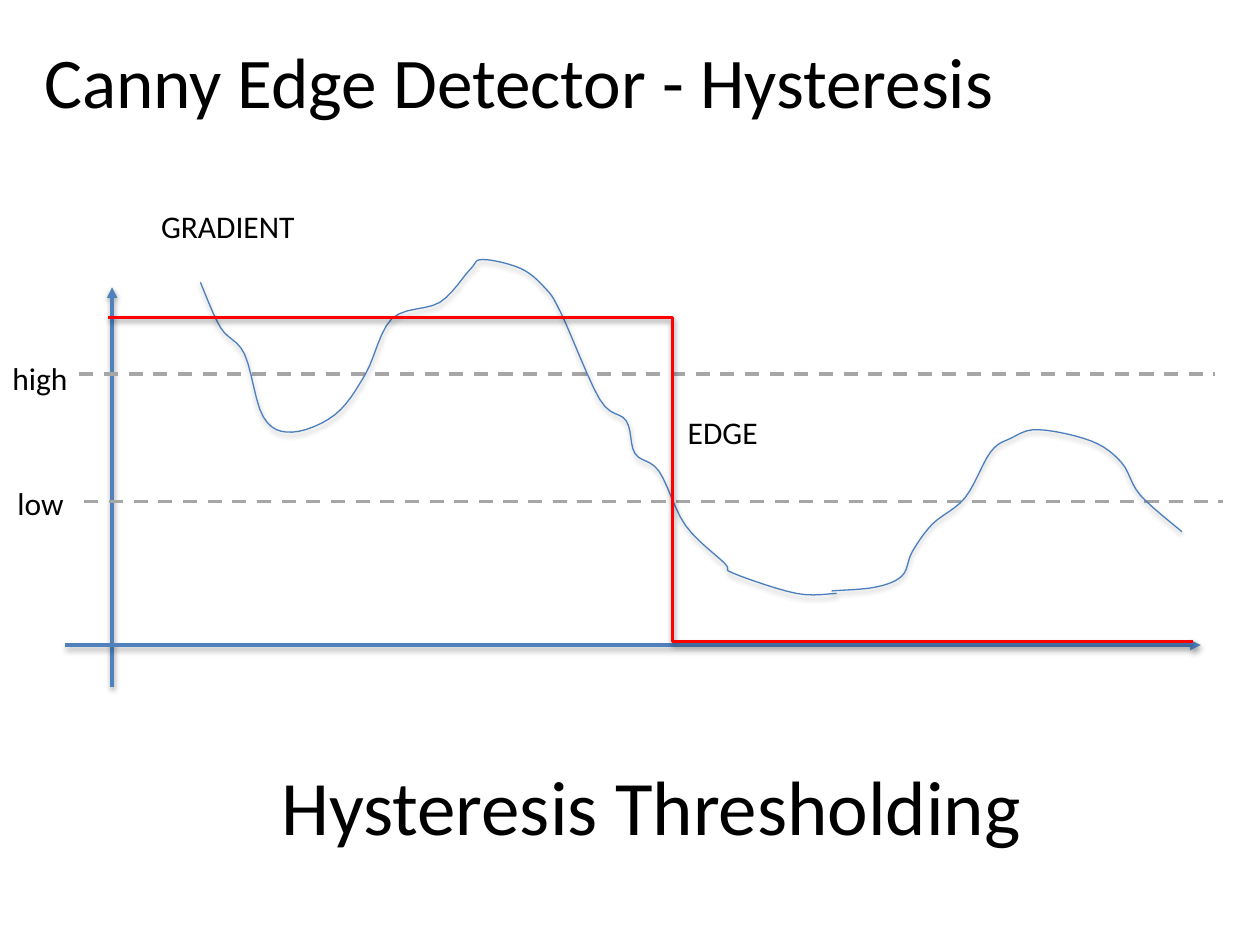
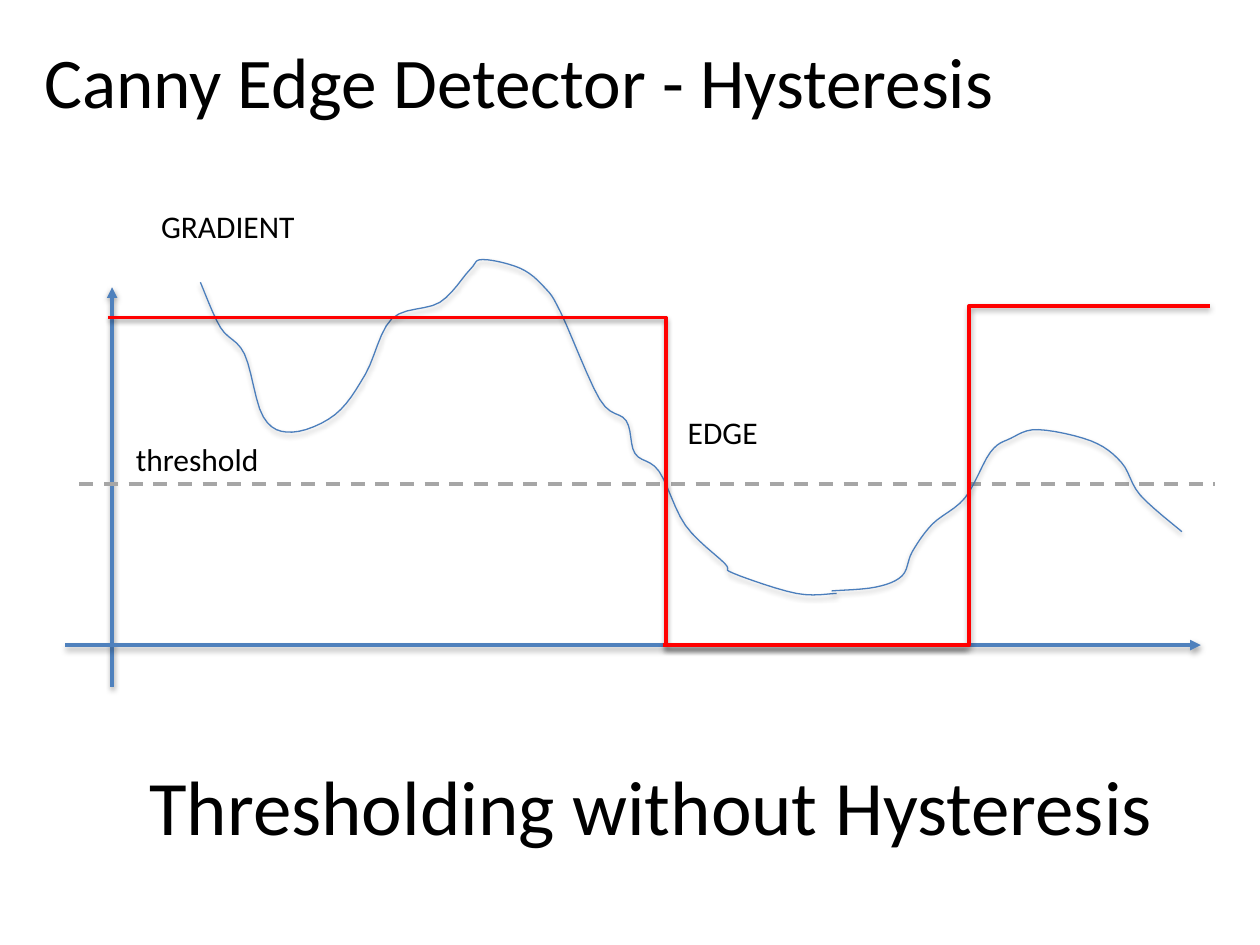
from lxml import etree
from pptx import Presentation
from pptx.dml.color import RGBColor
from pptx.enum.dml import MSO_LINE
from pptx.enum.shapes import MSO_CONNECTOR
from pptx.enum.text import MSO_ANCHOR, MSO_AUTO_SIZE, PP_ALIGN
from pptx.oxml.ns import qn
from pptx.util import Inches, Pt

STRAIGHT, ELBOW = MSO_CONNECTOR.STRAIGHT, MSO_CONNECTOR.ELBOW
DASH = MSO_LINE.DASH
LEFT, CENTER = PP_ALIGN.LEFT, PP_ALIGN.CENTER
MIDDLE, TOP = MSO_ANCHOR.MIDDLE, MSO_ANCHOR.TOP
FIT, NO_FIT = MSO_AUTO_SIZE.SHAPE_TO_FIT_TEXT, MSO_AUTO_SIZE.NONE

BLACK, AXIS, CURVE, GREY, RED = "000000", "4F81BD", "4B7EBC", "A6A6A6", "FF0000"

prs = Presentation()
prs.slide_width, prs.slide_height = Inches(10), Inches(7.5)
COL, ROW = prs.slide_width / 10, prs.slide_height / 7.5

TITLE = {"word_wrap": True, "auto_size": NO_FIT, "vertical_anchor": MIDDLE}
HEADER = TITLE | {"margin_left": int(0.35 * COL)}
LABEL = {"word_wrap": False, "auto_size": FIT, "vertical_anchor": TOP}

# Knots of the two gradient curves; a smooth spline runs through them
CURVES = [
    [(1.59, 2.24), (1.75, 2.6), (1.94, 2.81), (2.09, 3.31), (2.32, 3.43),
     (2.66, 3.29), (2.9, 2.97), (3.11, 2.53), (3.49, 2.4), (3.73, 2.14),
     (3.83, 2.06), (4.13, 2.13), (4.32, 2.28), (4.45, 2.48), (4.76, 3.17),
     (4.97, 3.34), (5.04, 3.6), (5.23, 3.74), (5.44, 4.17), (5.75, 4.47),
     (5.82, 4.55), (6.32, 4.71), (6.64, 4.71)],
    [(6.6, 4.69), (6.95, 4.66), (7.16, 4.57), (7.24, 4.38), (7.4, 4.16),
     (7.66, 3.95), (7.86, 3.59), (8.02, 3.48), (8.24, 3.41), (8.66, 3.5),
     (8.9, 3.67), (9.05, 3.93), (9.38, 4.22)],
]
SAMPLES = 6
AXES = [(0.89, 5.45, 0.89, 2.28), (0.52, 5.12, 9.53, 5.12)]
SHARED_LABELS = [("EDGE", 5.36, 3.23, 0.76), ("GRADIENT", 1.18, 1.59, 1.27)]

# Steps: x1, y1, x2, y2 and the share of the width where the step turns
SLIDES = [
    {"title": "Hysteresis Thresholding",
     "levels": [(0.63, 9.64, 2.97), (0.67, 9.71, 3.98)],
     "labels": [("low", 0.04, 3.79, 0.57), ("high", 0, 2.8, 0.65)],
     "steps": [(0.86, 2.52, 9.47, 5.09, 0.52)]},
    {"title": "Thresholding without Hysteresis",
     "levels": [(0.63, 9.64, 3.84)],
     "labels": [("threshold", 0.98, 3.44, 1.19)],
     "steps": [(0.86, 2.52, 7.67, 5.12, 0.65), (5.26, 5.12, 9.6, 2.43, 0.56)]},
]


def add_text(s, text, x, y, w, h, size, frame, align=LEFT):
    """Add a text box at grid place x, y with the given frame format."""
    box = s.shapes.add_textbox(*(int(v) for v in (x * COL, y * ROW, w * COL, h * ROW)))
    tf = box.text_frame
    for name, value in frame.items():
        setattr(tf, name, value)
    p = tf.paragraphs[0]
    p.alignment = align
    r = p.add_run()
    r.text = text
    for name, value in {"name": "Calibri", "size": Pt(size)}.items():
        setattr(r.font, name, value)
    r.font.color.rgb = RGBColor.from_string(BLACK)


def style_line(sp, color, width=2, alpha=38, arrow=False):
    """Set line colour, width, shadow (alpha 0 is none) and arrowhead."""
    sp.line.color.rgb = RGBColor.from_string(color)
    sp.line.width = Pt(width)
    props = sp._element.spPr
    if arrow:
        etree.SubElement(props.find(qn("a:ln")), qn("a:tailEnd"), type="triangle")
    effects = etree.SubElement(props, qn("a:effectLst"))
    if alpha:
        shadow = etree.SubElement(effects, qn("a:outerShdw"), blurRad=str(Pt(3.1)),
                                  dist=str(Pt(1.6)), dir="5400000", rotWithShape="0")
        tint = etree.SubElement(shadow, qn("a:srgbClr"), val=BLACK)
        etree.SubElement(tint, qn("a:alpha"), val=str(alpha * 1000))


for content in SLIDES:
    s = prs.slides.add_slide(prs.slide_layouts[6])
    add_text(s, content["title"], 0.92, 5.76, 8.5, 1.25, 44, TITLE, CENTER)
    add_text(s, "Canny Edge Detector - Hysteresis", 0, 0.01, 8.5, 1.25, 40.7, HEADER)

    levels = [(x1, y, x2, y) for x1, x2, y in content["levels"]]
    for x1, y1, x2, y2 in AXES + levels:
        sp = s.shapes.add_connector(STRAIGHT, int(x1 * COL), int(y1 * ROW),
                                    int(x2 * COL), int(y2 * ROW))
        if (x1, y1, x2, y2) in AXES:
            style_line(sp, AXIS, arrow=True)
        else:
            sp.line.dash_style = DASH
            style_line(sp, GREY, alpha=0)

    for knots in CURVES:
        ends = [knots[0], *knots, knots[-1]]
        points = []
        for quad in zip(ends, ends[1:], ends[2:], ends[3:]):
            for step in range(1, SAMPLES + 1):
                t = step / SAMPLES
                # Catmull-Rom spline between the two middle knots
                x, y = (b + t * (c - a) / 2 + t * t * (a - 2.5 * b + 2 * c - d / 2)
                        + t ** 3 * (3 * b - a - 3 * c + d) / 2
                        for a, b, c, d in zip(*quad))
                points.append((x * COL, y * ROW))
        x, y = knots[0]
        builder = s.shapes.build_freeform(x * COL, y * ROW)
        builder.add_line_segments(points, close=False)
        sp = builder.convert_to_shape()
        sp.fill.background()
        style_line(sp, CURVE, 0.75, 35)

    for x1, y1, x2, y2, turn in content["steps"]:
        sp = s.shapes.add_connector(ELBOW, int(x1 * COL), int(y1 * ROW),
                                    int(x2 * COL), int(y2 * ROW))
        guides = sp._element.spPr.find(qn("a:prstGeom")).find(qn("a:avLst"))
        etree.SubElement(guides, qn("a:gd"), name="adj1", fmla=f"val {round(turn * 100000)}")
        style_line(sp, RED)

    for text, x, y, w in content["labels"] + SHARED_LABELS:
        add_text(s, text, x, y, w, 0.4, 18, LABEL)

prs.save("out.pptx")
